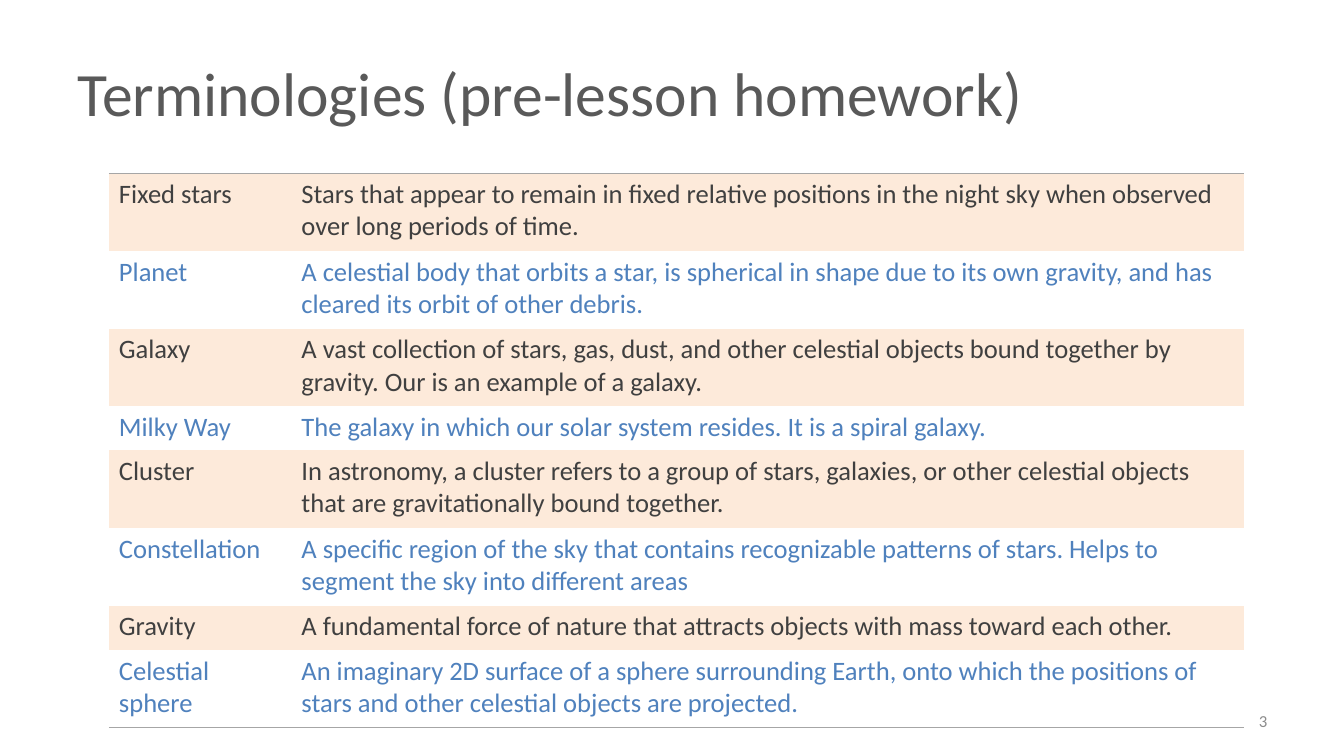
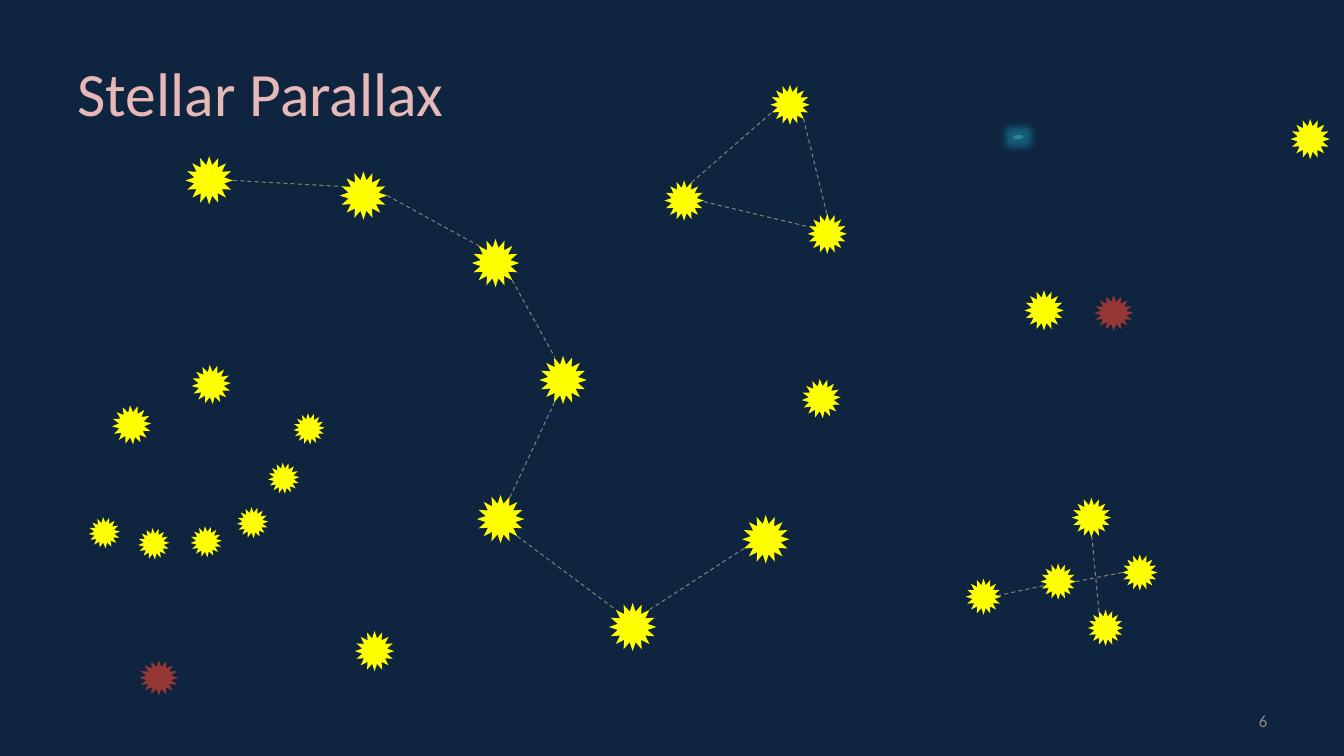
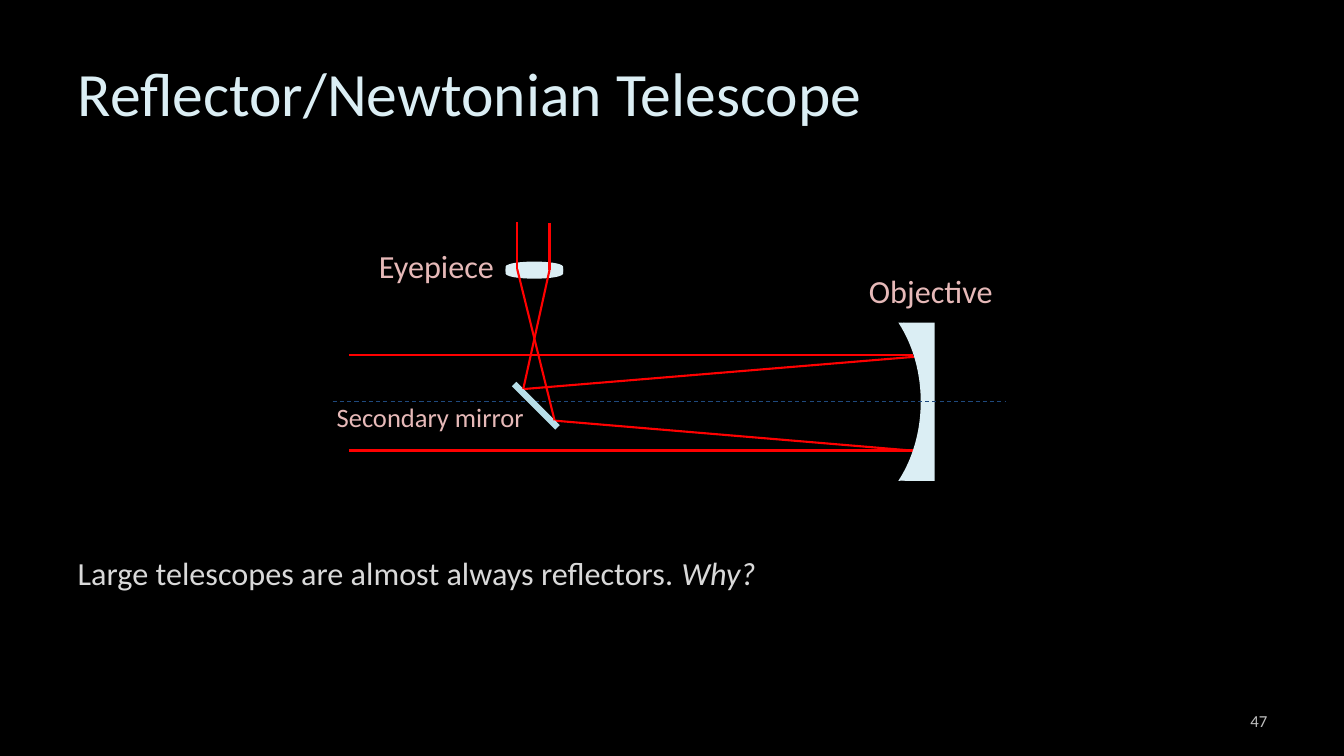
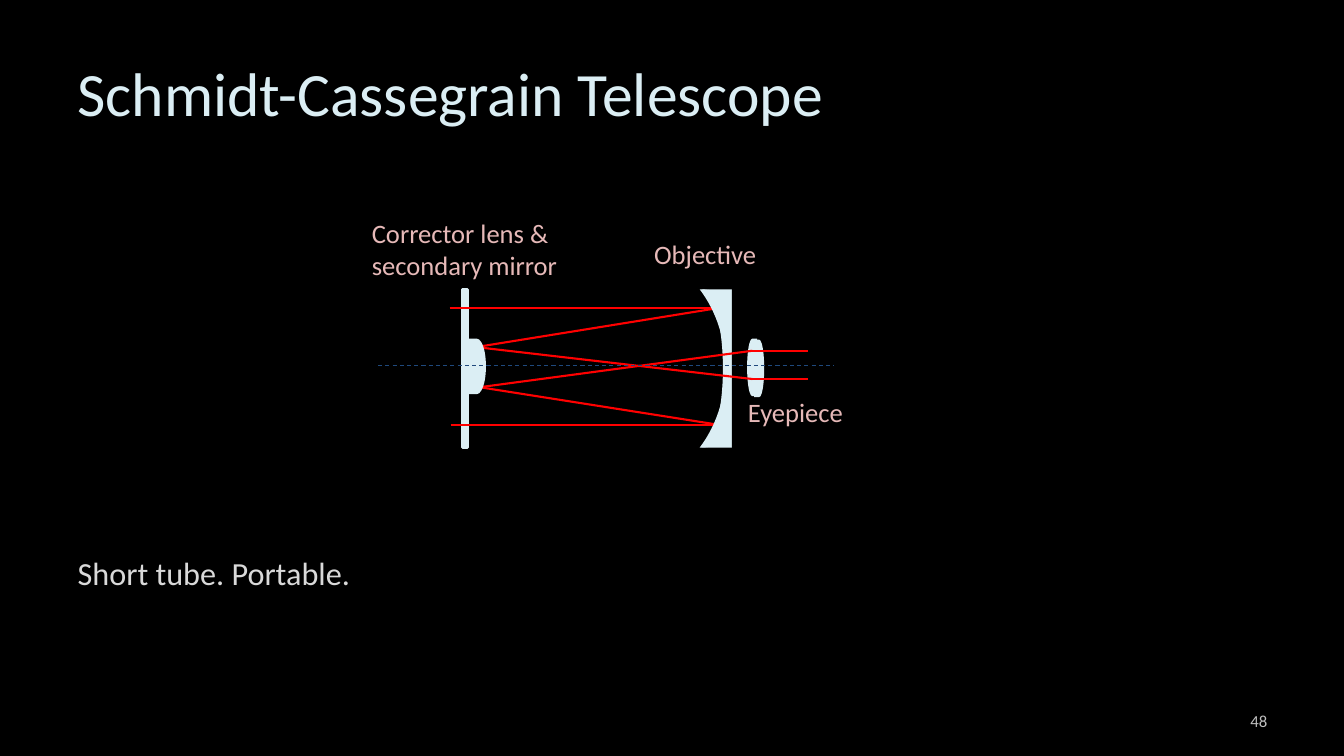
from lxml.etree import SubElement
from pptx import Presentation
from pptx.dml.color import RGBColor
from pptx.enum.dml import MSO_LINE
from pptx.enum.shapes import MSO_CONNECTOR, MSO_SHAPE as SHAPE
from pptx.enum.text import MSO_ANCHOR as ANCHOR, MSO_AUTO_SIZE as AUTO_SIZE, PP_ALIGN as ALIGN
from pptx.oxml.ns import qn
from pptx.util import Emu, Pt

PX = 9144
FONT = "Calibri"
WHITE, BLACK, NIGHT = "FFFFFF", "000000", "0F243E"
DARK_GREY, TEXT_GREY, NUMBER_GREY = "595959", "404040", "8C8C8C"
PALE_GREY, LIGHT_GREY, RULE_GREY = "D9D9D9", "BFBFBF", "A6A6A6"
ROSE, ICE, RED, BLUE, PEACH = "E6B9B8", "DBEEF4", "FF0000", "4F81BD", "FDEADA"
YELLOW, BROWN, DASH_GREY, AXIS, MIRROR = "FFFF00", "953735", "808080", "1F497D", "B7DEE8"
NO_TABLE_STYLE = "{2D5ABB26-0587-4C30-8999-92F81FD0307C}"

TERMS = [
    ("Fixed stars", "Stars that appear to remain in fixed relative positions in the night sky when observed over long periods of time."),
    ("Planet", "A celestial body that orbits a star, is spherical in shape due to its own gravity, and has cleared its orbit of other debris."),
    ("Galaxy", "A vast collection of stars, gas, dust, and other celestial objects bound together by gravity. Our is an example of a galaxy."),
    ("Milky Way", "The galaxy in which our solar system resides. It is a spiral galaxy."),
    ("Cluster", "In astronomy, a cluster refers to a group of stars, galaxies, or other celestial objects that are gravitationally bound together."),
    ("Constellation", "A specific region of the sky that contains recognizable patterns of stars. Helps to segment the sky into different areas"),
    ("Gravity", "A fundamental force of nature that attracts objects with mass toward each other."),
    ("Celestial sphere", "An imaginary 2D surface of a sphere surrounding Earth, onto which the positions of stars and other celestial objects are projected."),
]
ROW_HEIGHTS = [77, 77, 77, 44, 77, 77, 44, 77]

STAR_GROUPS = [
    (47, 48, 0, YELLOW, [(184, 155), (337, 170), (468, 237), (535, 353), (473, 491), (604, 598), (736, 511)]),
    (39, 40, 0, YELLOW, [(659, 179), (801, 212), (764, 84), (1016, 288), (352, 626), (1280, 118)]),
    (35, 36, 0, YELLOW, [(958, 574), (1032, 559), (1113, 550), (1079, 605)]),
    (39, 39, 0, YELLOW, [(1063, 494)]),
    (39, 35, 0, BROWN, [(1085, 293), (138, 655)]),
    (39, 39, 332.9, YELLOW, [(111, 402), (190, 362), (795, 376)]),
    (31, 31, 332.9, YELLOW, [(88, 513), (137, 524), (189, 522), (235, 503), (266, 459), (291, 410)]),
]
STAR_LINKS = [
    (231, 179, 339, 185), (384, 194, 475, 244), (508, 278, 550, 354),
    (550, 399, 506, 493), (513, 532, 611, 605), (738, 544, 644, 605),
    (698, 200, 802, 225), (686, 181, 765, 112), (820, 212, 797, 118),
    (1090, 607, 1083, 533), (1113, 568, 1067, 577), (1035, 581, 989, 591),
]


def emu(*lengths):
    return [Emu(length * PX) for length in lengths]


def rgb(value):
    return RGBColor.from_string(value)


def apply(target, **values):
    for name, value in values.items():
        setattr(target, name, value)


def format_font(font, size, color):
    apply(font, name=FONT, size=Pt(size))
    font.color.rgb = rgb(color)


def write(shape, text, size, color, anchor=ANCHOR.TOP, alignment=ALIGN.LEFT):
    frame = shape.text_frame
    apply(frame, text=text, word_wrap=True, auto_size=AUTO_SIZE.NONE, vertical_anchor=anchor)
    paragraph = frame.paragraphs[0]
    apply(paragraph, alignment=alignment, space_before=Pt(0))
    format_font(paragraph.font, size, color)
    return paragraph


def place(shape, *box):
    apply(shape, **dict(zip(("left", "top", "width", "height"), emu(*box))))


def add_text(slide, box, text, size, color, **layout):
    return write(slide.shapes.add_textbox(*emu(*box)), text, size, color, **layout)


def add_slide(presentation, layout, background, title, title_color, number, number_color=NUMBER_GREY):
    slide = presentation.slides.add_slide(presentation.slide_layouts[layout])
    slide.background.fill.solid()
    slide.background.fill.fore_color.rgb = rgb(background)
    place(slide.shapes.title, 67, 29, 1238, 125)
    write(slide.shapes.title, title, 44, title_color, anchor=ANCHOR.MIDDLE)
    add_text(slide, (956, 695, 311, 40), str(number), 12, number_color,
             anchor=ANCHOR.MIDDLE, alignment=ALIGN.RIGHT)
    return slide


def add_body(slide, text):
    body = slide.placeholders[1]
    place(body, 67, 544, 1198, 114)
    paragraph = write(body, text, 23, PALE_GREY)
    properties = paragraph._p.get_or_add_pPr()
    properties.set("marL", "0")
    properties.set("indent", "0")
    bullet = properties.makeelement(qn("a:buNone"))
    properties.insert_element_before(bullet, "a:tabLst", "a:defRPr", "a:extLst")
    return paragraph


def add_figure(slide, kind, box, color, rotation=0):
    shape = slide.shapes.add_shape(kind, *emu(*box))
    shape.shadow.inherit = False
    shape.rotation = rotation
    shape.fill.solid()
    shape.fill.fore_color.rgb = rgb(color)
    shape.line.fill.background()
    return shape


def add_line(slide, ends, color, width, dash=None):
    line = slide.shapes.add_connector(MSO_CONNECTOR.STRAIGHT, *emu(*ends))
    SubElement(line._element.spPr, qn("a:effectLst"))
    line.line.color.rgb = rgb(color)
    apply(line.line, width=Pt(width), dash_style=dash)


def add_rays(slide, rays):
    for ends in rays:
        add_line(slide, ends, RED, 1.5)


def add_axis(slide, ends):
    add_line(slide, ends, AXIS, 0.75, MSO_LINE.DASH)


def add_labels(slide, labels):
    for text, size, box in labels:
        add_text(slide, box, text, size, ROSE)


def add_concave_mirror(slide, left, top, moon_left, moon_width, cover_left):
    add_figure(slide, SHAPE.FLOWCHART_STORED_DATA, (left, top, 132, 157), ICE, 180)
    moon = add_figure(slide, SHAPE.MOON, (moon_left, top, moon_width, 157), ICE, 180)
    moon.adjustments[0] = 0.63
    add_figure(slide, SHAPE.RECTANGLE, (cover_left, top - 8, 110, 173), BLACK)


def add_lens(slide, halves):
    for left, top, rotation in halves:
        add_figure(slide, SHAPE.FLOWCHART_DELAY, (left, top, 10, 57), ICE, rotation)


def add_glow(shape, color, radius, opacity):
    effects = shape._element.spPr.find(qn("a:effectLst"))
    glow = SubElement(effects, qn("a:glow"), rad=str(radius * PX))
    tint = SubElement(glow, qn("a:srgbClr"), val=color)
    SubElement(tint, qn("a:alpha"), val=str(opacity * 1000))


def add_rule(cell, side):
    properties = cell._tc.get_or_add_tcPr()
    rule = properties.makeelement(qn(side), w=str(Pt(1)))
    properties.insert(0, rule)
    fill = SubElement(rule, qn("a:solidFill"))
    SubElement(fill, qn("a:srgbClr"), val=RULE_GREY)


def add_term_table(slide):
    box = emu(108, 172, 1126, sum(ROW_HEIGHTS))
    table = slide.shapes.add_table(len(TERMS), 2, *box).table
    apply(table, first_row=False, horz_banding=False)
    table._tbl.tblPr.find(qn("a:tableStyleId")).text = NO_TABLE_STYLE
    for column, width in zip(table.columns, emu(181, 945)):
        column.width = width
    for index, (row, height) in enumerate(zip(table.rows, emu(*ROW_HEIGHTS))):
        row.height = height
        for cell, text in zip(row.cells, TERMS[index]):
            cell.text = text
            format_font(cell.text_frame.paragraphs[0].font, 19, BLUE if index % 2 else TEXT_GREY)
            if index % 2:
                cell.fill.background()
            else:
                cell.fill.solid()
                cell.fill.fore_color.rgb = rgb(PEACH)
    for first, last in zip(table.rows[0].cells, table.rows[len(TERMS) - 1].cells):
        add_rule(first, "a:lnT")
        add_rule(last, "a:lnB")


def add_sky(slide):
    for width, height, rotation, color, positions in STAR_GROUPS:
        for left, top in positions:
            star = add_figure(slide, SHAPE.STAR_16_POINT, (left, top, width, height), color, rotation)
            star.adjustments[0] = 0.32
    for ends in STAR_LINKS:
        add_line(slide, ends, DASH_GREY, 0.75, MSO_LINE.DASH)
    nebula = add_figure(slide, SHAPE.CLOUD, (1005, 134, 10, 4), "31859C")
    add_glow(nebula, "1B87A8", 15, 60)


def add_newtonian(slide):
    add_rays(slide, [(346, 352, 906, 352), (346, 447, 906, 447), (519, 386, 907, 354)])
    add_concave_mirror(slide, 895, 320, 891, 60, 927)
    add_axis(slide, (330, 398, 998, 398))
    add_rays(slide, [(546, 417, 904, 447)])
    add_line(slide, (510, 381, 553, 424), MIRROR, 4.5)
    add_lens(slide, [(525, 236, 270), (525, 243, 90)])
    add_rays(slide, [(519, 386, 545, 268), (550, 417, 513, 267),
                     (513, 220, 513, 267), (545, 221, 545, 268)])
    add_labels(slide, [("Eyepiece", 23, (366, 239, 157, 49)),
                       ("Objective", 23, (852, 264, 174, 49)),
                       ("Secondary mirror", 19, (324, 393, 211, 42))])


def add_cassegrain(slide):
    add_rays(slide, [(462, 346, 716, 305), (462, 382, 710, 421)])
    add_concave_mirror(slide, 695, 287, 694, 69, 726)
    add_lens(slide, [(741, 336, 180), (748, 337, 0)])
    add_rays(slide, [(746, 376, 478, 345), (746, 348, 477, 384),
                     (746, 348, 801, 348), (746, 376, 801, 376)])
    corrector = add_figure(slide, SHAPE.RECTANGLE, (459, 287, 5, 157), ICE)
    corrector.line.color.rgb = rgb(ICE)
    corrector.line.width = Pt(2)
    add_rays(slide, [(446, 306, 705, 306), (447, 422, 707, 422)])
    add_figure(slide, SHAPE.FLOWCHART_DELAY, (464, 336, 18, 55), ICE)
    add_labels(slide, [("Objective", 19, (639, 231, 174, 42)),
                       ("Eyepiece", 19, (732, 388, 132, 42)),
                       ("Corrector lens & secondary mirror", 19, (359, 210, 213, 74))])
    add_axis(slide, (375, 363, 827, 363))


def main():
    presentation = Presentation()
    apply(presentation, **dict(zip(("slide_width", "slide_height"), emu(1333, 750))))

    slide = add_slide(presentation, 5, WHITE, "Terminologies (pre-lesson homework)", DARK_GREY, 3)
    add_term_table(slide)

    slide = add_slide(presentation, 5, NIGHT, "Stellar Parallax", ROSE, 6)
    add_sky(slide)

    slide = add_slide(presentation, 1, BLACK, "Reflector/Newtonian Telescope", ICE, 47, LIGHT_GREY)
    add_newtonian(slide)
    question = add_body(slide, "Large telescopes are almost always reflectors. ").add_run()
    question.text = "Why?"
    question.font.italic = True

    slide = add_slide(presentation, 1, BLACK, "Schmidt-Cassegrain Telescope", ICE, 48, LIGHT_GREY)
    add_cassegrain(slide)
    add_body(slide, "Short tube. Portable.")

    presentation.save("out.pptx")


if __name__ == "__main__":
    main()
